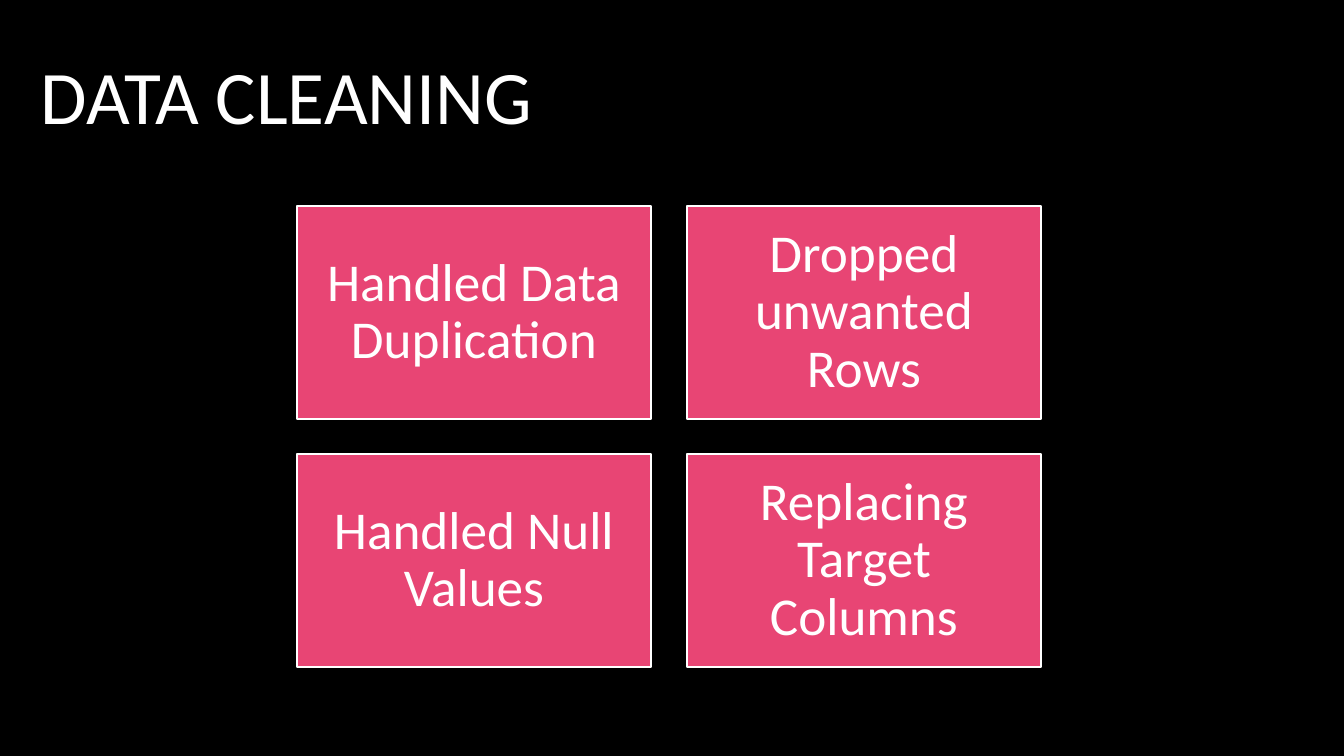
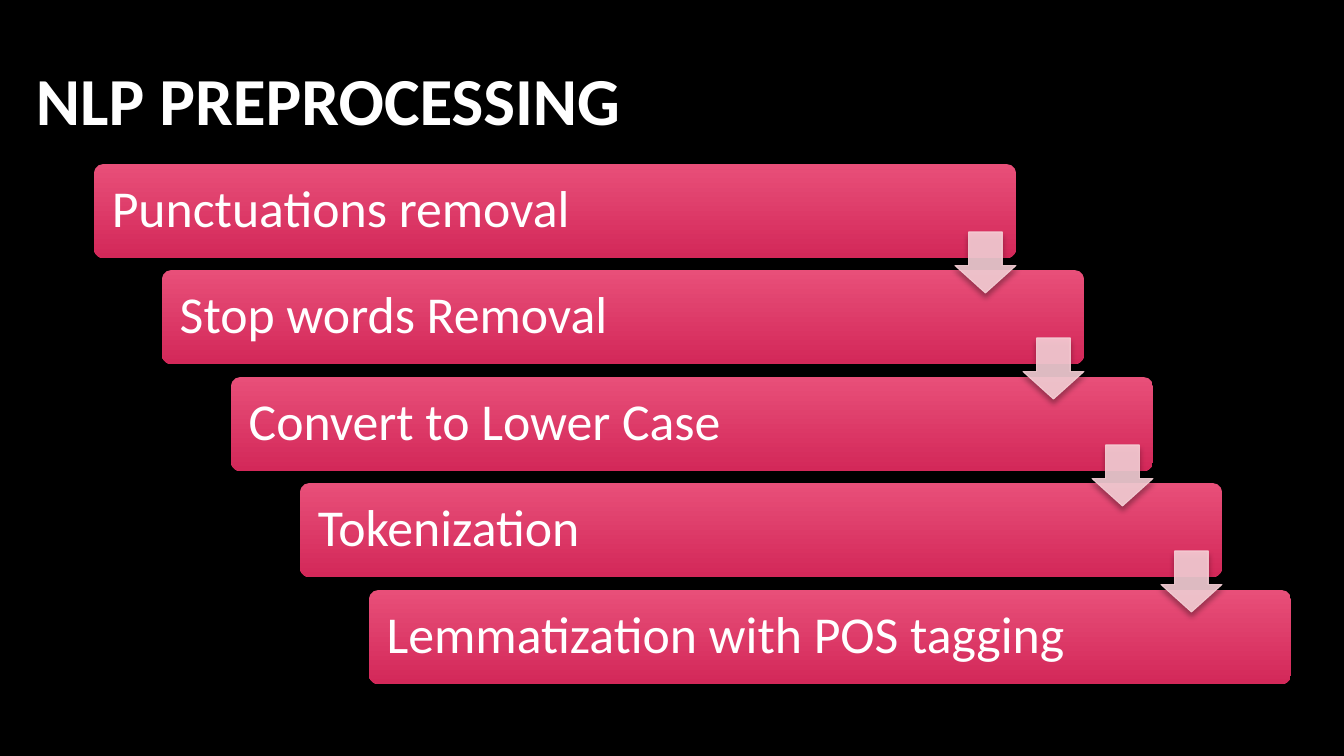
"""Build two slides on data cleaning and NLP preprocessing."""
from dataclasses import dataclass

from lxml import etree
from pptx import Presentation
from pptx import util as u
from pptx.dml.color import RGBColor
from pptx.enum import shapes, text
from pptx.oxml.ns import qn
from pptx.presentation import Presentation as Deck
from pptx.shapes.autoshape import Shape
from pptx.slide import Slide

EMU_PER_PX = 914400 / 100.8


@dataclass(frozen=True)
class Theme:
    font: str = "Calibri"
    background: RGBColor = RGBColor.from_string("000000")
    ink: RGBColor = RGBColor.from_string("FFFFFF")
    card: RGBColor = RGBColor.from_string("E84574")
    step_top: RGBColor = RGBColor.from_string("E84F79")
    step_bottom: RGBColor = RGBColor.from_string("D32859")
    arrow: RGBColor = RGBColor.from_string("F6CFD6")
    card_size: int = 38
    step_size: int = 37
    line_spacing: float = 0.9


@dataclass(frozen=True)
class Box:
    left: int
    top: int
    width: int
    height: int

    def emu(self) -> tuple[u.Emu, ...]:
        return tuple(px(n) for n in (self.left, self.top, self.width, self.height))


@dataclass(frozen=True)
class Title:
    words: str
    box: Box
    size: int
    bold: bool = False


THEME = Theme()
CLEANING_TITLE = Title("DATA CLEANING", Box(31, 44, 517, 102), 54)
NLP_TITLE = Title("NLP PREPROCESSING", Box(26, 53, 611, 92), 48, True)
CARDS = (
    "Handled Data Duplication",
    "Dropped unwanted Rows",
    "Handled Null Values",
    "Replacing Target Columns",
)
STEPS = (
    "Punctuations removal",
    "Stop words Removal",
    "Convert to Lower Case",
    "Tokenization",
    "Lemmatization with POS tagging",
)
FIRST_CARD = Box(297, 206, 354, 213)
CARD_PITCH_X, CARD_PITCH_Y = 390, 248
FIRST_STEP = Box(94, 164, 922, 94)
STAIR_WIDTH, STAIR_HEIGHT = 275, 426
ARROW_SIDE, ARROW_DROP = 61, 68


def px(count: int) -> u.Emu:
    return u.Emu(round(count * EMU_PER_PX))


def write(shape: Shape, words: str, size: int, inset: int,
          align: text.PP_ALIGN, bold: bool = False) -> None:
    frame = shape.text_frame
    frame.margin_left = frame.margin_right = px(inset)
    frame.margin_top = frame.margin_bottom = px(inset)
    frame.word_wrap = True
    frame.vertical_anchor = text.MSO_ANCHOR.MIDDLE
    para = frame.paragraphs[0]
    para.text = words
    para.alignment = align
    para.line_spacing = THEME.line_spacing
    para.font.name = THEME.font
    para.font.size = u.Pt(size)
    para.font.bold = bold
    para.font.color.rgb = THEME.ink


def add_shape(page: Slide, kind: shapes.MSO_SHAPE, box: Box) -> Shape:
    shape = page.shapes.add_shape(kind, *box.emu())
    shape.shadow.inherit = False
    return shape


def add_shadow(shape: Shape) -> None:
    effects = shape.element.spPr.find(qn("a:effectLst"))
    shadow = etree.SubElement(
        effects, qn("a:outerShdw"), blurRad=str(u.Pt(4)), dist=str(u.Pt(3)),
        dir="5400000", rotWithShape="0")
    color = etree.SubElement(shadow, qn("a:srgbClr"), val="000000")
    etree.SubElement(color, qn("a:alpha"), val="35000")


def add_page(deck: Deck, title: Title) -> Slide:
    page = deck.slides.add_slide(deck.slide_layouts.get_by_name("Title Only"))
    holder = page.shapes.title
    holder.left, holder.top, holder.width, holder.height = title.box.emu()
    write(holder, title.words, title.size, 5, text.PP_ALIGN.LEFT, title.bold)
    frame = holder.text_frame
    frame.margin_left = frame.margin_right = px(10)
    frame.vertical_anchor = text.MSO_ANCHOR.TOP
    frame.auto_size = text.MSO_AUTO_SIZE.NONE
    frame.word_wrap = False
    frame.paragraphs[0].line_spacing = 1.0
    return page


def add_card(page: Slide, index: int, words: str) -> None:
    row, column = divmod(index, 2)
    box = Box(FIRST_CARD.left + column * CARD_PITCH_X,
              FIRST_CARD.top + row * CARD_PITCH_Y,
              FIRST_CARD.width, FIRST_CARD.height)
    card = add_shape(page, shapes.MSO_SHAPE.RECTANGLE, box)
    card.fill.solid()
    card.fill.fore_color.rgb = THEME.card
    card.line.color.rgb = THEME.ink
    card.line.width = u.Pt(1.5)
    write(card, words, THEME.card_size, 16, text.PP_ALIGN.CENTER)


def step_box(index: int) -> Box:
    last = len(STEPS) - 1
    return Box(FIRST_STEP.left + STAIR_WIDTH * index // last,
               FIRST_STEP.top + STAIR_HEIGHT * index // last,
               FIRST_STEP.width, FIRST_STEP.height)


def add_step(page: Slide, box: Box, words: str) -> None:
    step = add_shape(page, shapes.MSO_SHAPE.ROUNDED_RECTANGLE, box)
    step.adjustments[0] = 0.1
    step.fill.gradient()
    step.fill.gradient_angle = 270
    for stop, color in zip(step.fill.gradient_stops,
                           (THEME.step_top, THEME.step_bottom)):
        stop.color.rgb = color
    step.line.fill.background()
    add_shadow(step)
    write(step, words, THEME.step_size, 15, text.PP_ALIGN.LEFT)


def add_arrow(page: Slide, step: Box) -> None:
    box = Box(step.left + step.width - ARROW_SIDE, step.top + ARROW_DROP,
              ARROW_SIDE, ARROW_SIDE)
    arrow = add_shape(page, shapes.MSO_SHAPE.DOWN_ARROW, box)
    arrow.adjustments[0], arrow.adjustments[1] = 0.55, 0.45
    arrow.fill.solid()
    arrow.fill.fore_color.rgb = THEME.arrow
    arrow.line.color.rgb = THEME.arrow
    arrow.line.width = u.Pt(0.75)
    for color in arrow.element.spPr.iter(qn("a:srgbClr")):
        etree.SubElement(color, qn("a:alpha"), val="90000")
    add_shadow(arrow)


def main() -> None:
    deck = Presentation()
    deck.slide_width, deck.slide_height = px(1344), px(756)
    backdrop = deck.slide_master.background.fill
    backdrop.solid()
    backdrop.fore_color.rgb = THEME.background

    cleaning = add_page(deck, CLEANING_TITLE)
    for index, words in enumerate(CARDS):
        add_card(cleaning, index, words)

    preprocessing = add_page(deck, NLP_TITLE)
    boxes = [step_box(index) for index in range(len(STEPS))]
    for box, words in zip(boxes, STEPS):
        add_step(preprocessing, box, words)
    for box in boxes[:-1]:
        add_arrow(preprocessing, box)

    deck.save("out.pptx")


if __name__ == "__main__":
    main()
